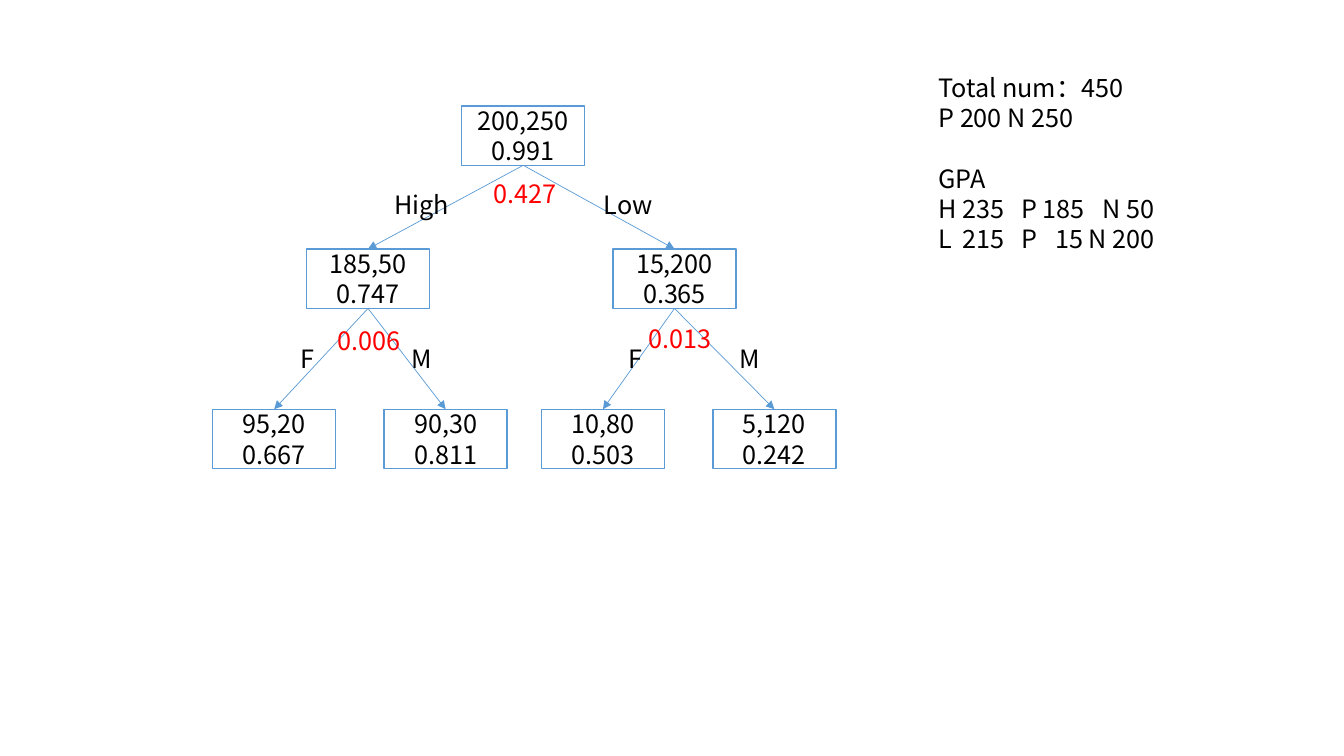
from pptx import Presentation
from pptx.dml.color import RGBColor
from pptx.enum.shapes import MSO_CONNECTOR as Connector, MSO_SHAPE as Preset
from pptx.enum.text import MSO_ANCHOR as Anchor, MSO_AUTO_SIZE as AutoSize, PP_ALIGN as Align
from pptx.oxml.ns import qn
from pptx.util import Inches, Pt
from lxml.etree import SubElement

BLUE, BLACK, RED, WHITE = "5B9BD5", "000000", "FF0000", "FFFFFF"
NODE_WIDTH, NODE_HEIGHT = 1.22, 0.59


def color(code):
    """Turn a hex string into a colour."""
    return RGBColor.from_string(code)


def write(para, text, *, font, size, ink=BLACK, align=Align.LEFT, pitch=21.6, before=0, tabs=()):
    """Put formatted text into a paragraph."""
    para.alignment = align
    para.line_spacing, para.space_before = Pt(pitch), Pt(before)
    span = para.add_run()
    span.text = text
    span.font.name, span.font.size = font, Pt(size)
    span.font.color.rgb = color(ink)
    props = para._p.get_or_add_pPr()
    if tabs:
        stops = SubElement(props, qn("a:tabLst"))
        for stop in tabs:
            SubElement(stops, qn("a:tab"), pos=str(Inches(stop)), algn="l")
    for tag in ("a:ea", "a:cs"):
        SubElement(span._r.get_or_add_rPr(), qn(tag), typeface=font)


class TreePage:
    """Hold the style and the page on which the decision tree is drawn."""

    def __init__(self, page, font="Noto Sans CJK SC", size=18):
        """Remember the page and its text style."""
        self.page = page
        self.style = {"font": font, "size": size}

    def fill_text(self, frame, lines, **formats):
        """Write each (text, extra format) line as a paragraph."""
        for index, (text, extra) in enumerate(lines):
            para = frame.add_paragraph() if index else frame.paragraphs[0]
            write(para, text, **self.style, **formats, **extra)

    def node(self, left, top, counts, entropy):
        """Draw a tree node with its class counts and entropy."""
        box = self.page.shapes.add_shape(
            Preset.RECTANGLE, Inches(left), Inches(top), Inches(NODE_WIDTH), Inches(NODE_HEIGHT))
        box.shadow.inherit = False
        box.fill.solid()
        box.fill.fore_color.rgb = color(WHITE)
        box.line.color.rgb, box.line.width = color(BLUE), Pt(1)
        box.text_frame.word_wrap = True
        box.text_frame.vertical_anchor = Anchor.MIDDLE
        self.fill_text(box.text_frame, [(counts, {}), (entropy, {})], align=Align.CENTER)
        return box

    def branch(self, parent, child):
        """Draw an arrow from a parent's bottom to a child's top."""
        arrow = self.page.shapes.add_connector(Connector.STRAIGHT, 0, 0, 0, 0)
        arrow.begin_connect(parent, 2)
        arrow.end_connect(child, 0)
        arrow.line.color.rgb, arrow.line.width = color(BLUE), Pt(0.5)
        SubElement(arrow.line._get_or_add_ln(), qn("a:tailEnd"), type="triangle")
        SubElement(arrow._element.spPr, qn("a:effectLst"))

    def label(self, left, top, width, height, lines, **formats):
        """Add a text box."""
        box = self.page.shapes.add_textbox(Inches(left), Inches(top), Inches(width), Inches(height))
        box.text_frame.word_wrap = True
        box.text_frame.auto_size = AutoSize.SHAPE_TO_FIT_TEXT
        self.fill_text(box.text_frame, lines, **formats)


deck = Presentation()
deck.slide_width, deck.slide_height = Inches(13.33), Inches(7.5)
tree = TreePage(deck.slides.add_slide(deck.slide_layouts[6]))

levels = [
    (1.05, [(4.58, "200,250", "0.991")]),
    (2.47, [(3.04, "185,50", "0.747"), (6.08, "15,200", "0.365")]),
    (4.06, [(2.11, "95,20", "0.667"), (3.81, "90,30", "0.811"),
            (5.37, "10,80", "0.503"), (7.07, "5,120", "0.242")]),
]
nodes = [tree.node(left, top, counts, entropy)
         for top, row in levels for left, counts, entropy in row]
for index, child in enumerate(nodes[1:]):
    tree.branch(nodes[index // 2], child)

for left, top, width, name in [
        (3.81, 1.83, 0.93, "High"), (5.89, 1.83, 0.93, "Low"),
        (2.88, 3.36, 0.46, "F"), (3.98, 3.36, 0.46, "M"),
        (6.14, 3.36, 0.46, "F"), (7.24, 3.36, 0.46, "M")]:
    tree.label(left, top, width, 0.4, [(name, {})])
for left, top, gain in [(4.8, 1.72, "0.427"), (3.25, 3.18, "0.006"), (6.33, 3.16, "0.013")]:
    tree.label(left, top, 1.21, 0.4, [(gain, {})], ink=RED)

tree.label(9.21, 0.67, 3.04, 2.52, [
    ("Total num：450", {}),
    ("P 200 N 250", {}),
    ("GPA", {"before": 21.6}),
    ("H 235\tP 185\tN 50", {"tabs": (0.82, 1.63)}),
    ("L\t215\tP\t15 N 200", {"tabs": (0.24, 0.82, 1.16)}),
])

deck.save("out.pptx")
